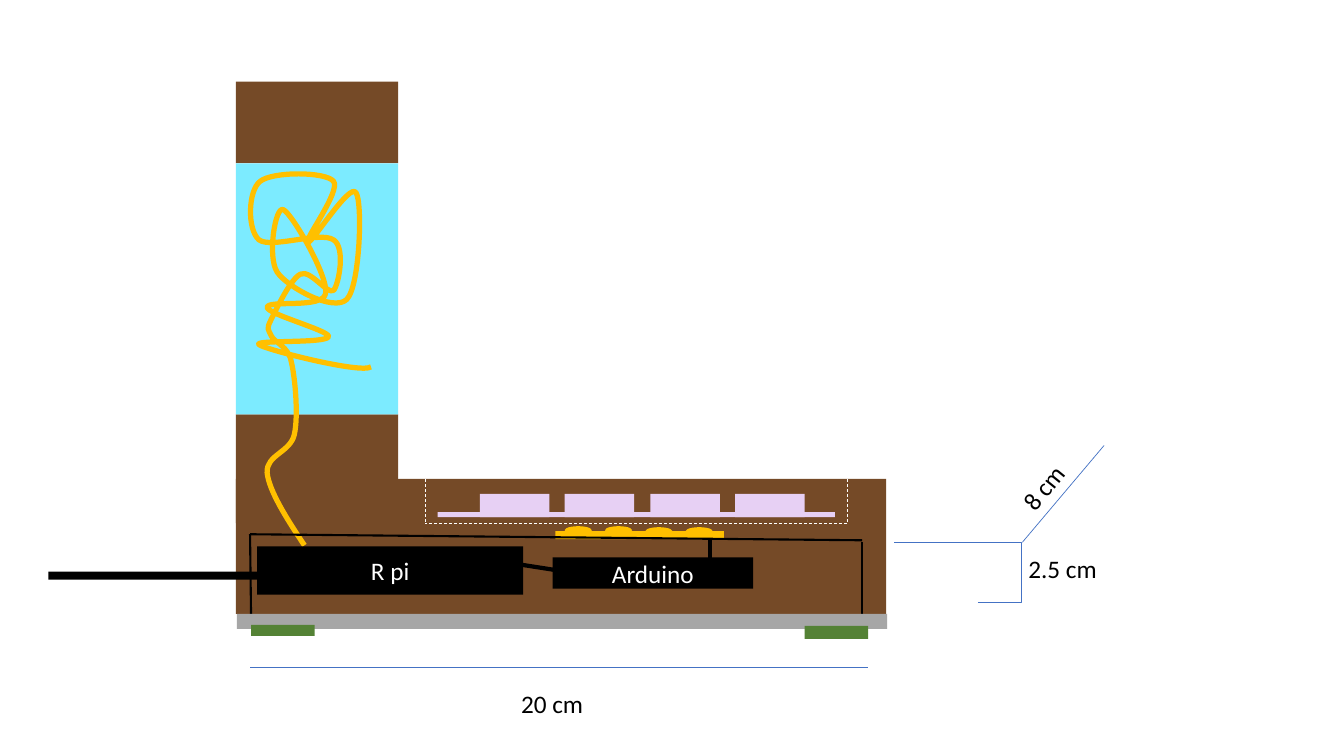
from lxml import etree
from pptx import Presentation
from pptx.dml.color import RGBColor
from pptx.enum.dml import MSO_LINE
from pptx.enum.shapes import MSO_CONNECTOR as CONN, MSO_SHAPE as SHAPE
from pptx.enum.text import MSO_ANCHOR, MSO_AUTO_SIZE, PP_ALIGN
from pptx.oxml.ns import qn
from pptx.util import Pt

PX = 9144  # 100 px to the inch
BROWN = RGBColor(0x75, 0x4A, 0x27)
CYAN = RGBColor(0x7C, 0xEB, 0xFF)
LILAC = RGBColor(0xE7, 0xD0, 0xF4)
GOLD = RGBColor(0xFF, 0xC0, 0x00)
BLACK = RGBColor(0x00, 0x00, 0x00)
WHITE = RGBColor(0xFF, 0xFF, 0xFF)
GREY = RGBColor(0xA6, 0xA6, 0xA6)
GREEN = RGBColor(0x54, 0x82, 0x35)
BLUE = RGBColor(0x44, 0x72, 0xC4)

prs = Presentation()
prs.slide_width, prs.slide_height = 1333 * PX, 750 * PX
s = prs.slides.add_slide(prs.slide_layouts[6])


def block(x, y, w, h, color, text="", kind=SHAPE.RECTANGLE):
    """Add a filled shape, or a text box when color is None."""
    box = [v * PX for v in (x, y, w, h)]
    if color is None:
        sp = s.shapes.add_textbox(*box)
        ink = BLACK
        sp.text_frame.word_wrap = False
        sp.text_frame.auto_size = MSO_AUTO_SIZE.SHAPE_TO_FIT_TEXT
    else:
        sp = s.shapes.add_shape(kind, *box)
        ink = WHITE
        sp.shadow.inherit = False
        sp.fill.solid()
        sp.fill.fore_color.rgb = color
        sp.line.fill.background()
        sp.text_frame.vertical_anchor = MSO_ANCHOR.MIDDLE
    if text:
        p = sp.text_frame.paragraphs[0]
        p.alignment = PP_ALIGN.LEFT if color is None else PP_ALIGN.CENTER
        r = p.add_run()
        r.text = text
        r.font.name, r.font.size = "Calibri", Pt(18)
        r.font.color.rgb = ink
    return sp


def wire(x1, y1, x2, y2, color, width, kind=CONN.STRAIGHT):
    cn = s.shapes.add_connector(kind, x1 * PX, y1 * PX, x2 * PX, y2 * PX)
    cn.line.color.rgb = color
    cn.line.width = Pt(width)
    etree.SubElement(cn._element.spPr, qn("a:effectLst"))
    return cn


# L-shaped housing with a window in the tower
block(234, 475, 645, 134, BROWN)
block(234, 411, 161, 108, BROWN)
block(234, 81, 161, 81, BROWN)
block(234, 162, 161, 249, CYAN)

# Keypad: base strip, four keys and dashed recess
block(434, 508, 394, 5, LILAC)
for i in range(4):
    block(476 + round(84.4 * i), 490, 69, 23, LILAC)
for ends in [(422, 475, 422, 519), (840, 519, 422, 519), (840, 475, 840, 519)]:
    wire(*ends, WHITE, 0.5).line.dash_style = MSO_LINE.DASH

# Contact strip with four bumps
block(551, 527, 167, 8, GOLD)
for i in range(4):
    block(560 + 40 * i, 522 + i // 2, 27, 8, GOLD, kind=SHAPE.OVAL)

block(548, 553, 199, 31, BLACK, "Arduino")

# Tangled light string: start point, then two controls and an end per curve
STRING = [
    (302, 541),
    (284, 514), (267, 487), (265, 469), (264, 451), (288, 449), (292, 431),
    (296, 413), (293, 376), (289, 359), (286, 343), (272, 340), (269, 333),
    (266, 326), (264, 327), (269, 317), (274, 307), (288, 277), (298, 272),
    (308, 267), (325, 293), (331, 288), (336, 282), (343, 246), (331, 238),
    (318, 229), (269, 247), (257, 238), (245, 228), (246, 189), (258, 180),
    (270, 170), (323, 170), (331, 180), (338, 190), (301, 239), (305, 241),
    (309, 242), (347, 181), (353, 191), (360, 200), (357, 284), (344, 297),
    (331, 310), (285, 285), (275, 270), (265, 255), (273, 204), (281, 208),
    (289, 211), (326, 274), (323, 291), (321, 307), (265, 297), (265, 305),
    (266, 312), (327, 328), (326, 334), (324, 341), (250, 337), (257, 342),
    (264, 347), (358, 371), (368, 364),
]
builder = s.shapes.build_freeform(*STRING[0], scale=PX)
builder.add_line_segments(STRING[1:], close=False)
string = builder.convert_to_shape()
string.shadow.inherit = False
string.fill.background()
string.line.color.rgb = GOLD
string.line.width = Pt(3.75)

# Turn each three points of the outline into one Bezier curve
steps = list(string._element.iter(qn("a:lnTo")))
outline = steps[0].getparent()
for i in range(0, len(steps), 3):
    curve = etree.SubElement(outline, qn("a:cubicBezTo"))
    for step in steps[i:i + 3]:
        curve.append(step[0])
        outline.remove(step)

# Boards, wiring and inner frame
wire(704, 535, 704, 570, BLACK, 3)
wire(509, 559, 573, 569, BLACK, 3)
block(255, 542, 264, 48, BLACK, "R pi")
for ends in [(855, 536, 248, 530), (855, 538, 855, 609), (248, 530, 249, 609)]:
    wire(*ends, BLACK, 1.5)

# Base plate, power cable and feet
block(235, 609, 645, 15, GREY)
block(48, 567, 207, 8, BLACK)
block(249, 620, 63, 11, GREEN)
block(798, 621, 63, 13, GREEN)

# Dimensions
block(1010, 544, 95, 40, None, "2.5 cm")
bracket = wire(970, 598, 887, 538, BLUE, 0.5, CONN.ELBOW)
geom = bracket._element.spPr.find(qn("a:prstGeom"))
guides = geom.find(qn("a:avLst"))
if guides is None:
    guides = etree.SubElement(geom, qn("a:avLst"))
etree.SubElement(guides, qn("a:gd"), name="adj1", fmla="val -52200")
wire(248, 662, 861, 662, BLUE, 0.5)
block(507, 678, 88, 40, None, "20 cm")
wire(1095, 442, 1014, 538, BLUE, 0.5)
block(999, 461, 75, 40, None, "8 cm").rotation = 308.9

prs.save("out.pptx")
